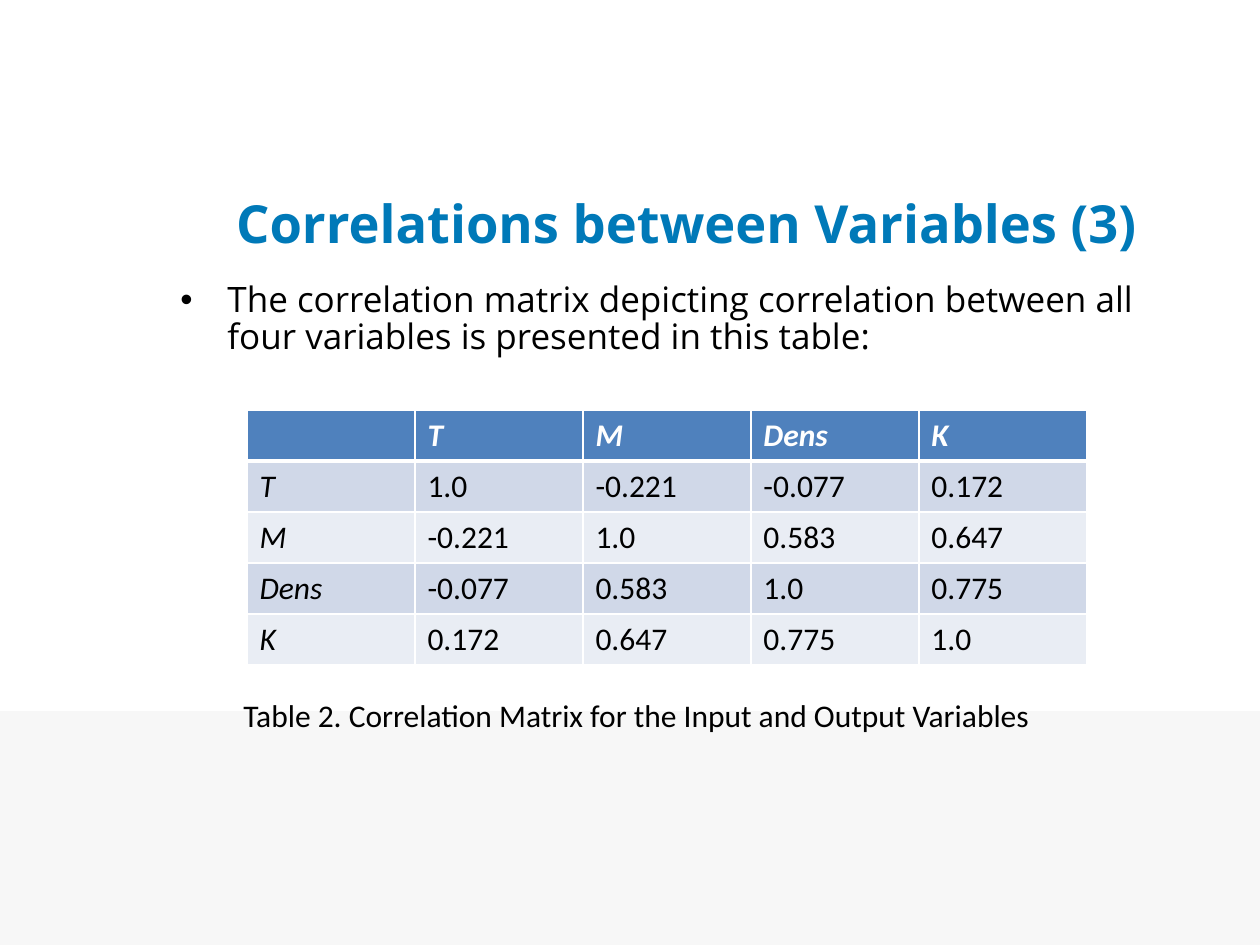
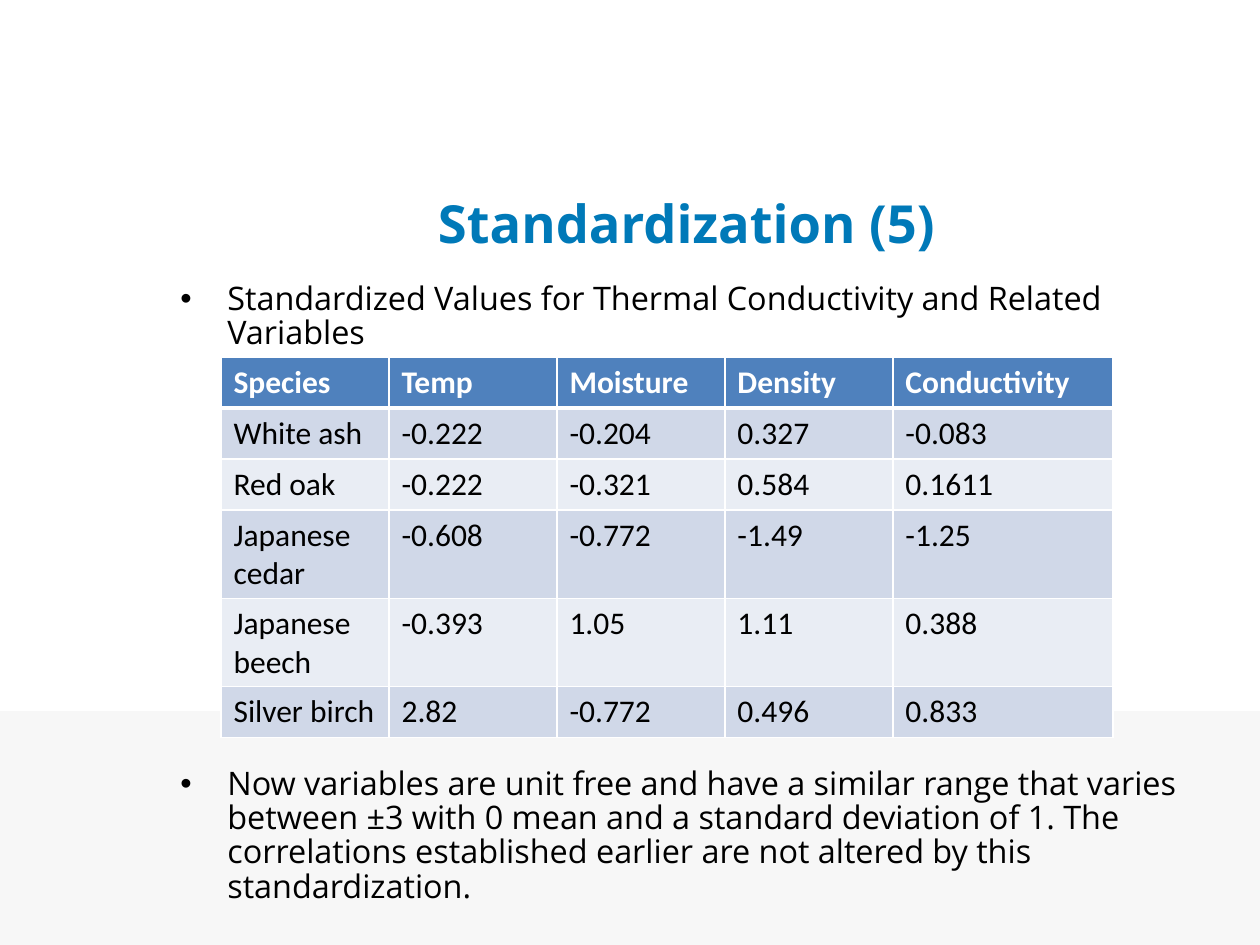
from dataclasses import dataclass

from lxml.etree import SubElement
from pptx import Presentation
from pptx.dml.color import RGBColor
from pptx.enum.shapes import MSO_SHAPE
from pptx.enum.text import MSO_ANCHOR, PP_ALIGN
from pptx.oxml.ns import qn
from pptx.slide import Slide
from pptx.table import _Cell
from pptx.text.text import TextFrame, _Paragraph
from pptx.util import Emu, Pt

WIDE, HIGH = 1260, 945
BLUE, BLACK, WHITE, GREY = "0079B8", "000000", "FFFFFF", "F7F7F7"
HEAD, BANDS = "4F81BD", ("D0D8E8", "E9EDF4")
SANS, CELL = "Open Sans", "Calibri"
ROW = 51


def px(count: int) -> Emu:
    return Emu(round(count * 914400 / 126))


def color(code: str) -> RGBColor:
    return RGBColor.from_string(code)


@dataclass(frozen=True)
class Box:
    left: int
    top: int
    width: int
    height: int

    def place(self) -> tuple[Emu, Emu, Emu, Emu]:
        return px(self.left), px(self.top), px(self.width), px(self.height)


@dataclass(frozen=True)
class Font:
    name: str
    size: float
    code: str = BLACK
    bold: bool = False
    slant: bool = False


@dataclass(frozen=True)
class Point:
    text: str
    size: float
    before: float


@dataclass(frozen=True)
class Grid:
    left: int
    top: int
    cols: tuple[int, ...]
    rows: tuple[tuple[str, ...], ...]
    slant: bool = False


BAND = Box(0, 711, WIDE, HIGH - 711)
TITLE = Box(168, 168, 1037, 109)
BODY = Box(168, 277, 1037, 640)
NOTE = Box(231, 690, 857, 50)


def add_run(para: _Paragraph, text: str, font: Font) -> None:
    run = para.add_run()
    run.text = text
    run.font.name = font.name
    run.font.size = Pt(font.size)
    run.font.bold = font.bold
    run.font.italic = font.slant
    run.font.color.rgb = color(font.code)


def add_box(slide: Slide, box: Box) -> TextFrame:
    frame = slide.shapes.add_textbox(*box.place()).text_frame
    frame.word_wrap = True
    return frame


def add_base(deck: Presentation, title: str) -> Slide:
    slide = deck.slides.add_slide(deck.slide_layouts[6])
    band = slide.shapes.add_shape(MSO_SHAPE.RECTANGLE, *BAND.place())
    band.shadow.inherit = False
    band.fill.solid()
    band.fill.fore_color.rgb = color(GREY)
    band.line.fill.background()
    frame = add_box(slide, TITLE)
    frame.vertical_anchor = MSO_ANCHOR.MIDDLE
    para = frame.paragraphs[0]
    para.alignment = PP_ALIGN.CENTER
    add_run(para, title, Font(SANS, 30, BLUE, bold=True))
    return slide


def add_points(slide: Slide, points: tuple[Point, ...]) -> None:
    frame = add_box(slide, BODY)
    for rank, point in enumerate(points):
        para = frame.add_paragraph() if rank else frame.paragraphs[0]
        para.line_spacing = 0.88
        para.space_before = Pt(point.before)
        props = para._p.get_or_add_pPr()
        props.set("marL", str(px(47)))
        props.set("indent", str(px(-47)))
        SubElement(props, qn("a:buFont"), typeface="Arial")
        SubElement(props, qn("a:buChar"), char="•")
        add_run(para, point.text, Font(SANS, point.size))


def add_edges(cell: _Cell, base: float) -> None:
    props = cell._tc.get_or_add_tcPr()
    edges = {"lnL": 1, "lnR": 1, "lnT": 1, "lnB": base}
    for spot, (tag, width) in enumerate(edges.items()):
        line = SubElement(props, qn(f"a:{tag}"), w=str(Pt(width)))
        fill = SubElement(line, qn("a:solidFill"))
        SubElement(fill, qn("a:srgbClr"), val=WHITE)
        props.insert(spot, line)


def add_grid(slide: Slide, grid: Grid) -> None:
    count = len(grid.rows)
    box = Box(grid.left, grid.top, sum(grid.cols), ROW * count)
    table = slide.shapes.add_table(count, len(grid.cols), *box.place()).table
    table.first_row = table.horz_banding = False
    for col, width in zip(table.columns, grid.cols):
        col.width = px(width)
    for y, texts in enumerate(grid.rows):
        table.rows[y].height = px(ROW)
        for x, text in enumerate(texts):
            cell = table.cell(y, x)
            cell.fill.solid()
            cell.fill.fore_color.rgb = color(BANDS[(y - 1) % 2] if y else HEAD)
            add_edges(cell, 1 if y else 3)
            if text:
                slant = grid.slant and (x == 0 or y == 0)
                font = Font(CELL, 18, BLACK if y else WHITE, y == 0, slant)
                add_run(cell.text_frame.paragraphs[0], text, font)


MATRIX = Grid(247, 410, (168,) * 5, (
    ("", "T", "M", "Dens", "K"),
    ("T", "1.0", "-0.221", "-0.077", "0.172"),
    ("M", "-0.221", "1.0", "0.583", "0.647"),
    ("Dens", "-0.077", "0.583", "1.0", "0.775"),
    ("K", "0.172", "0.647", "0.775", "1.0"),
), slant=True)

WOODS = Grid(221, 357, (168,) * 4 + (220,), (
    ("Species", "Temp", "Moisture", "Density", "Conductivity"),
    ("White ash", "-0.222", "-0.204", "0.327", "-0.083"),
    ("Red oak", "-0.222", "-0.321", "0.584", "0.1611"),
    ("Japanese cedar", "-0.608", "-0.772", "-1.49", "-1.25"),
    ("Japanese beech", "-0.393", "1.05", "1.11", "0.388"),
    ("Silver birch", "2.82", "-0.772", "0.496", "0.833"),
))


def main() -> None:
    deck = Presentation()
    deck.slide_width, deck.slide_height = px(WIDE), px(HIGH)

    slide = add_base(deck, "Correlations between Variables (3)")
    add_points(slide, (
        Point("The correlation matrix depicting correlation between all "
              "four variables is presented in this table:", 20, 4),
    ))
    add_grid(slide, MATRIX)
    note = add_box(slide, NOTE).paragraphs[0]
    add_run(note, "Table 2. Correlation Matrix for the Input and Output "
            "Variables", Font(CELL, 18))

    slide = add_base(deck, "Standardization (5)")
    add_points(slide, (
        Point("Standardized Values for Thermal Conductivity and Related "
              "Variables", 18.5, 4),
        Point("Now variables are unit free and have a similar range that "
              "varies between ±3 with 0 mean and a standard deviation of 1. "
              "The correlations established earlier are not altered by this "
              "standardization.", 18.5, 238),
    ))
    add_grid(slide, WOODS)

    deck.save("out.pptx")


if __name__ == "__main__":
    main()
